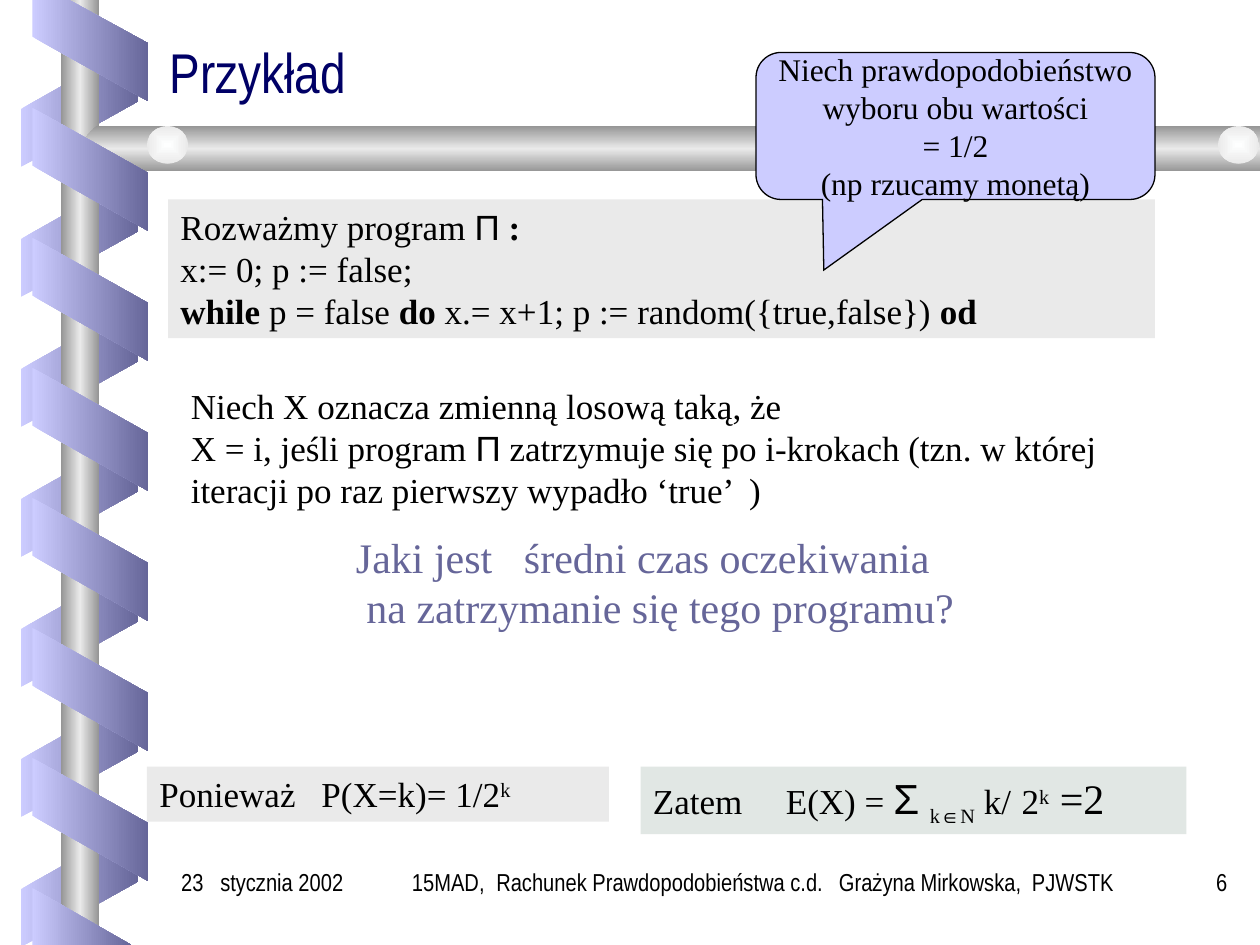
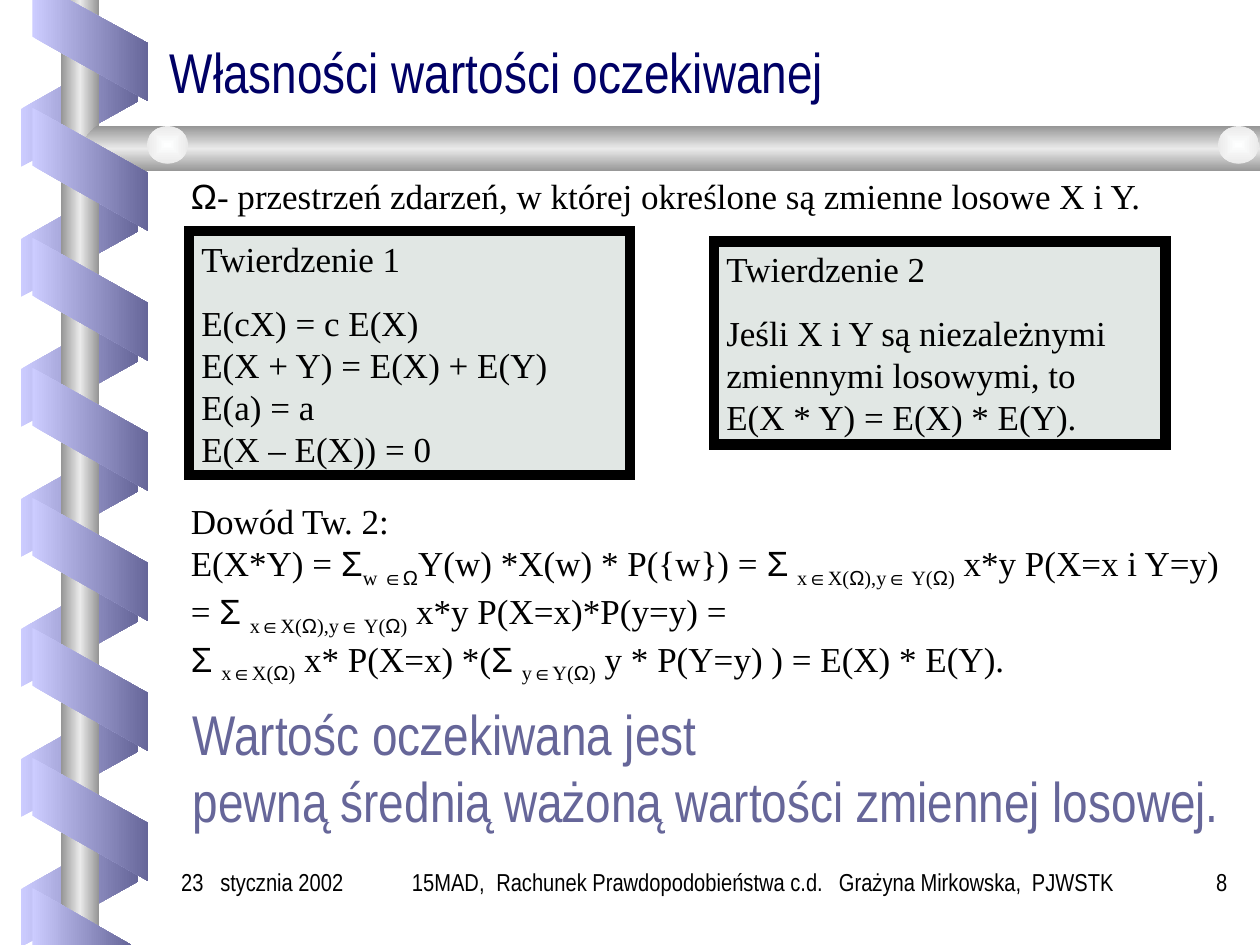
from itertools import groupby

from lxml import etree
from pptx import Presentation
from pptx.dml.color import RGBColor
from pptx.enum import shapes, text
from pptx.oxml.ns import qn
from pptx.util import Pt

COLORS = {
    "title": "000066", "ink": "000000", "accent": "666699", "lilac": "CCCCFF",
    "panel": "EAEAEA", "mint": "E1E7E4", "steel": "969696", "white": "FEFFFF",
}
SERIF, SANS, NARROW = "Times New Roman", "Arial", "Arial Narrow"
SYMBOLS = "ΠΣΩ∈"  # set in the sans font
BOLD, BIG = {"bold": True}, {"size": 24}
SUB, SUP = {"baseline": -25}, {"baseline": 30}
W, H = 720, 540

# A text is a list of paragraphs; a paragraph is a list of strings or (string, format).
TITLES = {6: "Przykład", 8: "Własności wartości oczekiwanej"}
FOOTER_DATE = "23\tstycznia 2002"
FOOTER_TEXT = "15MAD,\tRachunek Prawdopodobieństwa c.d.\tGrażyna Mirkowska,\tPJWSTK"

PROGRAM = [["Rozważmy program Π", (" :\n", BOLD), "x:= 0; p := false;\n", ("while", BOLD),
            " p = false ", ("do", BOLD), " x.= x+1; p := random({true,false}) ", ("od", BOLD)]]
PROBABILITY = [["Ponieważ\tP(X=k)= 1/2", ("k", SUP)]]
EXPECTATION = [["Zatem\tE(X) = ", ("Σ ", BIG), ("k∈N", SUB), " k/", (" ", BIG), "2",
                ("k", SUP), (" =2", BIG)]]
CALLOUT = [["Niech prawdopodobieństwo\nwyboru obu wartości\n= 1/2"], ["(np rzucamy monetą)"]]
VARIABLE = [["Niech X oznacza zmienną losową taką, że\nX = i, jeśli program Π zatrzymuje się "
             "po i-krokach (tzn. w której iteracji po raz pierwszy wypadło ‘true’\t)"]]
QUESTION = [["Jaki jest\tśredni czas oczekiwania"], [" na zatrzymanie się tego programu?"]]

SPACE = [["Ω- przestrzeń zdarzeń, w której określone są zmienne losowe X i Y."]]
THEOREMS = [
    ((108, 132, 252, 139.5),
     [["Twierdzenie 1"],
      ["E(cX) = c E(X)\nE(X + Y) = E(X) + E(Y)\nE(a) = a\nE(X – E(X)) = 0"]]),
    ((408, 138, 258, 116),
     [["Twierdzenie 2"],
      ["Jeśli X i Y są niezależnymi zmiennymi losowymi, to\nE(X * Y) = E(X) * E(Y)."]]),
]
PAIRS = ("x∈X(Ω),y∈ Y(Ω)", SUB)
PROOF = [["Dowód Tw. 2:\nE(X*Y) = Σ", ("w ∈Ω", SUB), "Y(w) *X(w) * P({w}) = Σ ", PAIRS,
          " x*y P(X=x i Y=y)\n= Σ ", PAIRS, " x*y P(X=x)*P(y=y) =\nΣ ", ("x∈X(Ω)", SUB),
          " x* P(X=x) *(Σ ", ("y∈Y(Ω)", SUB), " y * P(Y=y) ) = E(X) * E(Y)."]]
SUMMARY = [["Wartośc oczekiwana jest"], ["pewną średnią ważoną wartości zmiennej losowej."]]

# Spiral ribbon, in points
BAND_STEP, BAND_SLANT, BAND_EDGE = 74.3, 37.5, 33
FRONT_X, FRONT_Y = (18.5, 85), 61.6
BACK_X, BACK_Y = (12, 79), 62.3
FRONT_TOP = [(18.5, 0), (18.5, 21), (85, 58), (85, 25), (39.5, 0)]
FRONT_BOTTOM = [(18.5, 507.5), (75, 540), (18.5, 540)]
RAIL = [(720, 72), (55, 72), (43, 85), (55, 98), (720, 98)]
RIBBON = ["lilac", "accent"]
METAL = ["steel", "panel", "steel"]


def rgb(name):
    return RGBColor.from_string(COLORS[name])


def gradient(s, names, angle=None):
    """Fill with evenly spaced colours; without an angle they spread from the centre."""
    s.fill.gradient()
    g = s._element.spPr.find(qn("a:gradFill"))
    for child in list(g):
        g.remove(child)
    stops = etree.SubElement(g, qn("a:gsLst"))
    for i, name in enumerate(names):
        stop = etree.SubElement(stops, qn("a:gs"), pos=str(100000 * i // (len(names) - 1)))
        etree.SubElement(stop, qn("a:srgbClr"), val=COLORS[name])
    if angle is None:
        spread = etree.SubElement(g, qn("a:path"), path="rect")
        etree.SubElement(spread, qn("a:fillToRect"), l="50000", t="50000", r="50000", b="50000")
    else:
        etree.SubElement(g, qn("a:lin"), ang=str(angle * 60000), scaled="0")


def add_preset(slide, kind, box, fill=None, line=0):
    s = slide.shapes.add_shape(kind, *map(Pt, box))
    s.shadow.inherit = False
    if fill:
        s.fill.solid()
        s.fill.fore_color.rgb = rgb(fill)
    if line:
        s.line.color.rgb = rgb("ink")
        s.line.width = Pt(line)
        etree.SubElement(s._element.spPr.find(qn("a:ln")), qn("a:miter"), lim="800000")
    else:
        s.line.fill.background()
    return s


def add_outline(slide, points, names, angle):
    pts = [(Pt(x), Pt(y)) for x, y in points]
    builder = slide.shapes.build_freeform(*pts[0])
    builder.add_line_segments(pts[1:], close=True)
    s = builder.convert_to_shape()
    s.shadow.inherit = False
    s.line.fill.background()
    gradient(s, names, angle)


def add_run(p, content, size, font, color, bold=False, baseline=0):
    r = p.add_run()
    r.text = content
    r.font.size, r.font.name, r.font.bold = Pt(size), font, bold
    r.font.color.rgb = rgb(color)
    if baseline:
        r._r.get_or_add_rPr().set("baseline", str(baseline * 1000))


def write(s, paragraphs, size=20, font=SERIF, color="ink", align="LEFT", anchor="TOP",
          before=0, spacing=None, wrap=True, tabs=(), left=7.2):
    tf = s.text_frame
    tf.word_wrap = wrap
    tf.vertical_anchor = text.MSO_ANCHOR[anchor]
    tf.margin_left, tf.margin_right = Pt(left), Pt(7.2)
    tf.margin_top = tf.margin_bottom = Pt(3.6)
    for i, runs in enumerate(paragraphs):
        p = tf.add_paragraph() if i else tf.paragraphs[0]
        p.alignment = text.PP_ALIGN[align]
        if i and before:
            p.space_before = Pt(before)
        if spacing:
            p.line_spacing = spacing
        if tabs:
            stops = etree.SubElement(p._p.get_or_add_pPr(), qn("a:tabLst"))
            for x in tabs:
                etree.SubElement(stops, qn("a:tab"), pos=str(Pt(x)), algn="l")
        for run in runs:
            content, fmt = (run, {}) if isinstance(run, str) else run
            for n, row in enumerate(content.split("\n")):
                if n:
                    p.add_line_break()
                for symbol, chars in groupby(row, lambda c: c in SYMBOLS):
                    add_run(p, "".join(chars), **{"size": size, "color": color,
                                                  "font": SANS if symbol else font, **fmt})


def add_text(slide, box, paragraphs, **fmt):
    write(slide.shapes.add_textbox(*map(Pt, box)), paragraphs, **fmt)


def add_panel(slide, box, paragraphs, fill, line=0, **fmt):
    s = add_preset(slide, shapes.MSO_SHAPE.RECTANGLE, box, fill, line)
    write(s, paragraphs, **fmt)


def band(xs, y, slant):
    """Corners of a ribbon piece whose left edge starts at y."""
    x1, x2 = xs
    return [(x1, y), (x2, y + slant), (x2, y + slant + BAND_EDGE), (x1, y + BAND_EDGE)]


def add_frame(prs, number):
    """New slide with spiral, rail, title and footer."""
    slide = prs.slides.add_slide(prs.slide_layouts[6])
    for i in range(7):
        add_outline(slide, band(BACK_X, BACK_Y + i * BAND_STEP, -BAND_SLANT), RIBBON, 0)
    pole = add_preset(slide, shapes.MSO_SHAPE.RECTANGLE, (35, 0, 21.5, H))
    gradient(pole, METAL, 0)
    add_outline(slide, RAIL, METAL, 90)
    for x in (84, 696):
        knob = add_preset(slide, shapes.MSO_SHAPE.OVAL, (x, 72, 23.5, 21.6))
        gradient(knob, ["white", "panel"])
    fronts = [band(FRONT_X, FRONT_Y + i * BAND_STEP, BAND_SLANT) for i in range(6)]
    for points in [FRONT_TOP, *fronts, FRONT_BOTTOM]:
        add_outline(slide, points, RIBBON, 0)

    add_text(slide, (90, 18, 612, 45), [[TITLES[number]]], size=32, font=NARROW,
             color="title", anchor="BOTTOM", spacing=0.8)
    small = {"size": 14, "font": NARROW}
    add_text(slide, (96.5, 492, 119.5, 36), [[FOOTER_DATE]], tabs=[22.3], **small)
    add_text(slide, (216, 492, 444, 36), [[FOOTER_TEXT]], left=19.4,
             tabs=[48.2, 244, 354.3], **small)
    add_text(slide, (648, 492, 60.5, 36), [[str(number)]], align="RIGHT", **small)
    return slide


def build_example(prs):
    slide = add_frame(prs, 6)
    add_panel(slide, (96, 114, 564, 79.2), PROGRAM, "panel")
    add_panel(slide, (84, 438, 264, 31.5), PROBABILITY, "panel", tabs=[92.6])
    callout = add_preset(slide, shapes.MSO_SHAPE.ROUNDED_RECTANGULAR_CALLOUT,
                         (432, 30, 228, 84), "lilac", 0.75)
    for i, value in enumerate((-0.33, 0.98, 0.17)):
        callout.adjustments[i] = value
    write(callout, CALLOUT, size=18, align="CENTER", anchor="MIDDLE", wrap=False)
    add_panel(slide, (366, 438, 312, 38.7), EXPECTATION, "mint", tabs=[76])
    add_text(slide, (102, 216, 576, 79.2), VARIABLE, tabs=[319])
    add_text(slide, (144, 300, 462, 105), QUESTION, size=24, color="accent",
             left=59.4, tabs=[96])


def build_properties(prs):
    slide = add_frame(prs, 8)
    add_text(slide, (102, 96, 588, 31.5), SPACE)
    for box, theorem in THEOREMS:
        add_panel(slide, box, theorem, "mint", 6, before=12.5)
    add_text(slide, (102, 282, 618, 113), PROOF)
    add_text(slide, (103, 396, 614, 90), SUMMARY, size=32, font=NARROW, color="accent")


def main():
    prs = Presentation()
    prs.slide_width, prs.slide_height = Pt(W), Pt(H)
    build_example(prs)
    build_properties(prs)
    prs.save("out.pptx")


if __name__ == "__main__":
    main()
